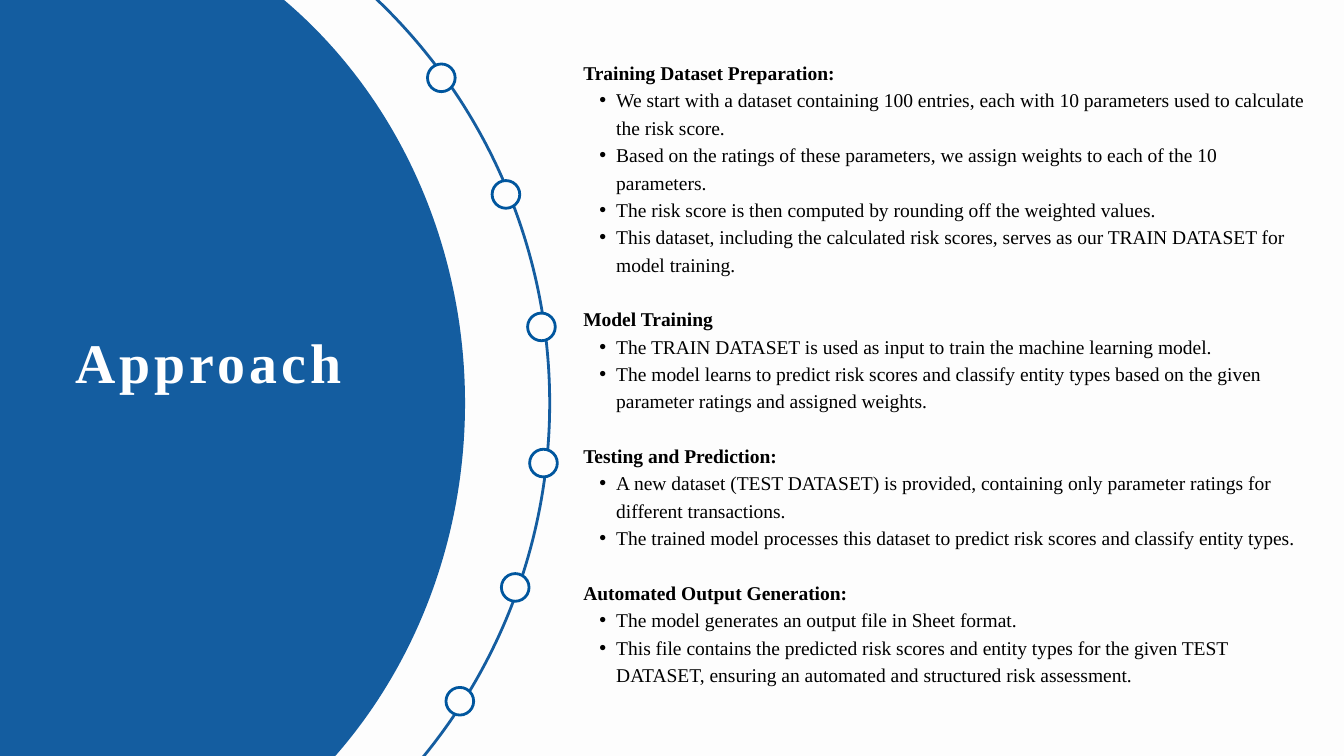
import math

import lxml.etree
import pptx
import pptx.dml.color
import pptx.enum.shapes
import pptx.enum.text
import pptx.oxml.ns
import pptx.util

SLIDE_WIDTH = pptx.util.Inches(20)
SLIDE_HEIGHT = pptx.util.Inches(11.25)
FONT = "Times New Roman"
BLUE, NODE_BLUE, PAPER, INK = "145DA0", "00569E", "FDFDFD", "000000"
LINE_SPACING = pptx.util.Pt(29.3)

TITLE_BOX = (5.6, 41.87, 33, 9.78)
BODY_BOX = (43.4, 7.56, 53.8, 84)
RING_CENTRE = (-0.6, 53.33)
DISC_CENTRE = (-0.15, 53.33)
RING_RADIUS, ORBIT_RADIUS, NODE_RADIUS = 41.5, 41.28, 1.03
DISC_RADII = (34.75, 37.95)
NODE_ANGLES = (-35.9, -22.1, -7.9, 6.2, 19.4, 32.5)

SECTIONS = [
    ("Training Dataset Preparation:", [
        "We start with a dataset containing 100 entries, each with 10 parameters used to calculate the risk score.",
        "Based on the ratings of these parameters, we assign weights to each of the 10 parameters.",
        "The risk score is then computed by rounding off the weighted values.",
        "This dataset, including the calculated risk scores, serves as our TRAIN DATASET for model training.",
    ]),
    ("Model Training", [
        "The TRAIN DATASET is used as input to train the machine learning model.",
        "The model learns to predict risk scores and classify entity types based on the given "
        "parameter ratings and assigned weights.",
    ]),
    ("Testing and Prediction:", [
        "A new dataset (TEST DATASET) is provided, containing only parameter ratings for different transactions.",
        "The trained model processes this dataset to predict risk scores and classify entity types.",
    ]),
    ("Automated Output Generation:", [
        "The model generates an output file in Sheet format.",
        "This file contains the predicted risk scores and entity types for the given TEST DATASET, "
        "ensuring an automated and structured risk assessment.",
    ]),
]


def across(percent):
    return round(SLIDE_WIDTH * percent / 100)


def down(percent):
    return round(SLIDE_HEIGHT * percent / 100)


def set_colour(target, colour):
    target.rgb = pptx.dml.color.RGBColor.from_string(colour)


def fill_solid(fill, colour):
    fill.solid()
    set_colour(fill.fore_color, colour)


def add_ellipse(slide, centre, radii, fill=None, line=None):
    radius_x, radius_y = map(across, radii)
    shape = slide.shapes.add_shape(
        pptx.enum.shapes.MSO_SHAPE.OVAL,
        across(centre[0]) - radius_x, down(centre[1]) - radius_y,
        2 * radius_x, 2 * radius_y,
    )
    shape.shadow.inherit = False
    if fill:
        fill_solid(shape.fill, fill)
    else:
        shape.fill.background()
    if line:
        set_colour(shape.line.color, line)
        shape.line.width = pptx.util.Pt(3)
    else:
        shape.line.fill.background()


def place_placeholder(slide, placeholder, box):
    left, top, width, height = box
    placeholder.left, placeholder.top = across(left), down(top)
    placeholder.width, placeholder.height = across(width), down(height)
    slide.shapes._spTree.append(placeholder._element)
    frame = placeholder.text_frame
    frame.margin_left = frame.margin_right = frame.margin_top = frame.margin_bottom = 0
    frame.word_wrap = True
    frame.auto_size = pptx.enum.text.MSO_AUTO_SIZE.NONE
    frame.vertical_anchor = pptx.enum.text.MSO_ANCHOR.TOP
    return frame


def add_run(paragraph, text, size, colour, bold):
    run = paragraph.add_run()
    run.text = text
    run.font.name = FONT
    run.font.size = pptx.util.Pt(size)
    run.font.bold = bold
    set_colour(run.font.color, colour)
    return run


def set_bullet(paragraph, indent, hanging, character=None):
    properties = paragraph._p.get_or_add_pPr()
    properties.set("marL", str(pptx.util.Inches(indent)))
    properties.set("indent", str(-pptx.util.Inches(hanging)))
    tag = "a:buChar" if character else "a:buNone"
    bullet = lxml.etree.SubElement(properties, pptx.oxml.ns.qn(tag))
    if character:
        bullet.set("char", character)


def build_arc(slide):
    add_ellipse(slide, RING_CENTRE, (RING_RADIUS, RING_RADIUS), line=BLUE)
    add_ellipse(slide, DISC_CENTRE, DISC_RADII, fill=BLUE)
    aspect = SLIDE_WIDTH / SLIDE_HEIGHT
    for angle in map(math.radians, NODE_ANGLES):
        centre = (
            RING_CENTRE[0] + ORBIT_RADIUS * math.cos(angle),
            RING_CENTRE[1] + ORBIT_RADIUS * math.sin(angle) * aspect,
        )
        add_ellipse(slide, centre, (NODE_RADIUS, NODE_RADIUS), PAPER, NODE_BLUE)


def build_title(slide, box):
    frame = place_placeholder(slide, slide.shapes.title, box)
    paragraph = frame.paragraphs[0]
    paragraph.alignment = pptx.enum.text.PP_ALIGN.LEFT
    paragraph.line_spacing = pptx.util.Pt(83.7)
    run = add_run(paragraph, "Approach", 59.8, "FFFFFF", True)
    run.font._element.set("spc", "440")


def build_body(slide, box):
    frame = place_placeholder(slide, slide.placeholders[1], box)
    for number, (heading, points) in enumerate(SECTIONS):
        paragraph = frame.add_paragraph() if number else frame.paragraphs[0]
        set_bullet(paragraph, 0, 0)
        paragraph.line_spacing = LINE_SPACING
        paragraph.space_before = LINE_SPACING if number else pptx.util.Pt(0)
        add_run(paragraph, heading, 20.9, INK, True)
        for point in points:
            paragraph = frame.add_paragraph()
            paragraph.level = 1
            set_bullet(paragraph, 0.49, 0.25, "•")
            paragraph.line_spacing = LINE_SPACING
            paragraph.space_before = pptx.util.Pt(0)
            add_run(paragraph, point, 20.9, INK, False)


def main():
    presentation = pptx.Presentation()
    presentation.slide_width = SLIDE_WIDTH
    presentation.slide_height = SLIDE_HEIGHT
    slide = presentation.slides.add_slide(presentation.slide_layouts[1])
    fill_solid(slide.background.fill, PAPER)
    build_arc(slide)
    build_title(slide, TITLE_BOX)
    build_body(slide, BODY_BOX)
    presentation.save("out.pptx")


if __name__ == "__main__":
    main()
